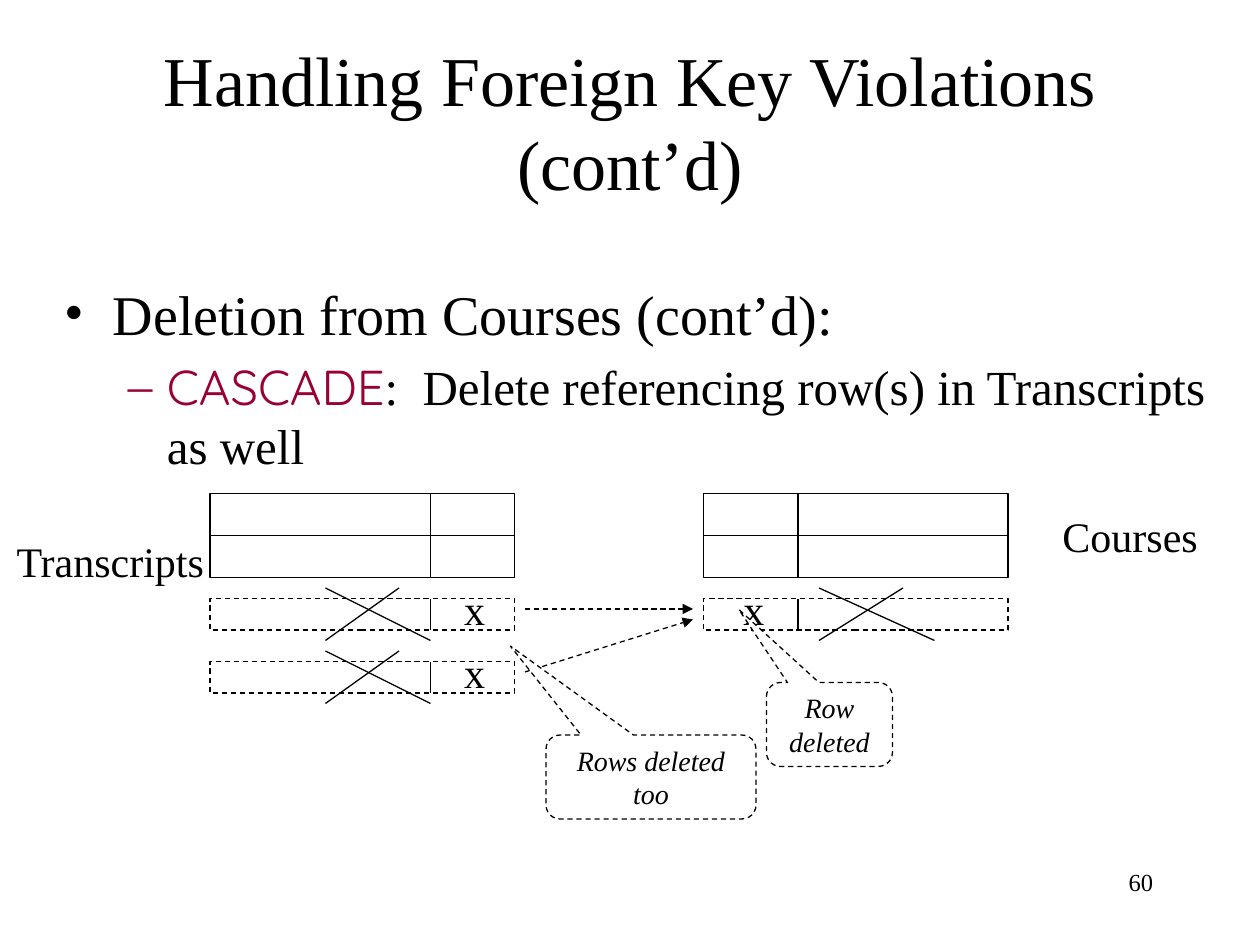
from dataclasses import dataclass

from lxml.etree import SubElement
from pptx import Presentation
from pptx.dml.color import RGBColor
from pptx.enum.dml import MSO_LINE
from pptx.enum.shapes import MSO_CONNECTOR, MSO_SHAPE
from pptx.enum.text import MSO_ANCHOR, PP_ALIGN
from pptx.oxml.ns import qn
from pptx.util import Inches, Pt

COLS, ROWS = 120, 90  # square grid, 12 cells to the inch


@dataclass(frozen=True)
class Theme:
    ink: RGBColor = RGBColor(0, 0, 0)
    paper: RGBColor = RGBColor(255, 255, 255)
    keyword: RGBColor = RGBColor(0x99, 0, 0x33)
    font: str = "Times New Roman"
    keyword_font: str = "Quicksand"
    title: int = 40
    body: int = 32
    sub: int = 28
    label: int = 24
    callout: int = 16
    number: int = 14
    line: float = 0.75


class Deck:
    def __init__(self, theme):
        self.theme = theme
        self.prs = Presentation()
        self.prs.slide_width, self.prs.slide_height = Inches(10), Inches(7.5)
        self.s = self.prs.slides.add_slide(self.prs.slide_layouts[6])

    def grid(self, *cells):
        """Turn alternating columns and rows into lengths."""
        units = (self.prs.slide_width / COLS, self.prs.slide_height / ROWS)
        return [round(c * units[i % 2]) for i, c in enumerate(cells)]

    def style(self, font, size, italic=None):
        font.name, font.size, font.italic = self.theme.font, Pt(size), italic
        font.color.rgb = self.theme.ink

    def outline(self, line, dashed):
        line.color.rgb, line.width = self.theme.ink, Pt(self.theme.line)
        if dashed:
            line.dash_style = MSO_LINE.DASH

    def text(self, box, words, size, align=PP_ALIGN.LEFT, wrap=True, anchor=MSO_ANCHOR.TOP):
        tf = self.s.shapes.add_textbox(*self.grid(*box)).text_frame
        tf.word_wrap, tf.vertical_anchor = wrap, anchor
        p = tf.paragraphs[0]
        p.text, p.alignment = words, align
        self.style(p.font, size)

    def bullets(self, box, items):
        """Items are (level, mark, size, left indent, hang, [(words, is keyword)])."""
        tf = self.s.shapes.add_textbox(*self.grid(*box)).text_frame
        tf.word_wrap = True
        for i, (level, mark, size, left, hang, runs) in enumerate(items):
            p = tf.add_paragraph() if i else tf.paragraphs[0]
            p.level, p.space_before = level, Pt(size * 0.2)
            self.style(p.font, size)
            for words, is_keyword in runs:
                r = p.add_run()
                r.text = words
                self.style(r.font, size)
                if is_keyword:
                    r.font.name = self.theme.keyword_font
                    r.font.color.rgb = self.theme.keyword
            pPr = p._p.get_or_add_pPr()
            pPr.set("marL", str(Inches(left)))
            pPr.set("indent", str(-Inches(hang)))
            bullet_font = pPr.makeelement(qn("a:buFont"), {"typeface": self.theme.font})
            bullet = pPr.makeelement(qn("a:buChar"), {"char": mark})
            pPr.find(qn("a:defRPr")).addprevious(bullet_font)
            bullet_font.addnext(bullet)

    def shape(self, kind, box, dashed=False):
        sp = self.s.shapes.add_shape(kind, *self.grid(*box))
        sp.shadow.inherit = False
        sp.fill.solid()
        sp.fill.fore_color.rgb = self.theme.paper
        self.outline(sp.line, dashed)
        return sp

    def line(self, *ends, arrow=False):
        c = self.s.shapes.add_connector(MSO_CONNECTOR.STRAIGHT, *self.grid(*ends))
        self.outline(c.line, dashed=arrow)
        if arrow:
            SubElement(c.line._get_or_add_ln(), qn("a:tailEnd"), type="triangle")
        SubElement(c._element.spPr, qn("a:effectLst"))

    def split_row(self, x, y, height, split, dashed=False):
        """Draw a table block with one column divider."""
        self.shape(MSO_SHAPE.RECTANGLE, (x, y, 29, height), dashed)
        self.line(split, y, split, y + height)

    def table_head(self, x, split):
        self.split_row(x, 47, 8, split)
        self.line(x, 51, x + 29, 51)

    def deleted_row(self, x, y, split, cross, key_x, key_y):
        """Draw a dashed row, its key x, and a cross given as (left, right, top right)."""
        self.split_row(x, y, 3, split, dashed=True)
        left, right, top_right = cross
        self.line(left, y - 1, right, y + 4)
        self.line(top_right, y - 1, left, y + 4)
        self.text((key_x, key_y, 4.4, 6), "x", self.theme.label, PP_ALIGN.CENTER, wrap=False)

    def callout(self, box, tip, words):
        sp = self.shape(MSO_SHAPE.ROUNDED_RECTANGULAR_CALLOUT, box, dashed=True)
        sp.adjustments[0], sp.adjustments[1] = tip
        tf = sp.text_frame
        tf.word_wrap, tf.vertical_anchor = True, MSO_ANCHOR.MIDDLE
        p = tf.paragraphs[0]
        p.text, p.alignment = words, PP_ALIGN.CENTER
        self.style(p.font, self.theme.callout, italic=True)


def main():
    t = Theme()
    d = Deck(t)
    d.text((86, 82, 25, 6), "60", t.number, PP_ALIGN.RIGHT)
    d.text((9, 4, 102, 15), "Handling Foreign Key Violations (cont’d)", t.title,
           PP_ALIGN.CENTER, anchor=MSO_ANCHOR.MIDDLE)
    d.bullets((5, 26, 111, 59), [
        (0, "•", t.body, 0.38, 0.38, [("Deletion from Courses (cont’d):", False)]),
        (1, "–", t.sub, 0.81, 0.31, [
            ("CASCADE", True),
            (":  Delete referencing row(s) in Transcripts as well", False)]),
    ])

    transcripts, courses = (20, 41), (67, 76)  # left edge, divider
    for x, split in (transcripts, courses):
        d.table_head(x, split)
    d.text((0.4, 50.4, 20.4, 6), "Transcripts", t.label, wrap=False)
    d.text((100, 48, 15.5, 6), "Courses", t.label, wrap=False)

    x, split = courses
    d.deleted_row(x, 57, split, (78, 89, 86), 69.6, 55)
    d.callout((73, 65, 12, 8), (-0.72, -1.37), "Row deleted")

    x, split = transcripts
    for y, key_y, target_y in ((57, 55, 58), (63, 61, 59)):
        d.deleted_row(x, y, split, (31, 41, 38), 43, key_y)
        d.line(50, y + 1, 66, target_y, arrow=True)
    d.callout((52, 70, 20, 8), (-0.67, -1.56), "Rows deleted too")

    d.prs.save("out.pptx")


if __name__ == "__main__":
    main()
